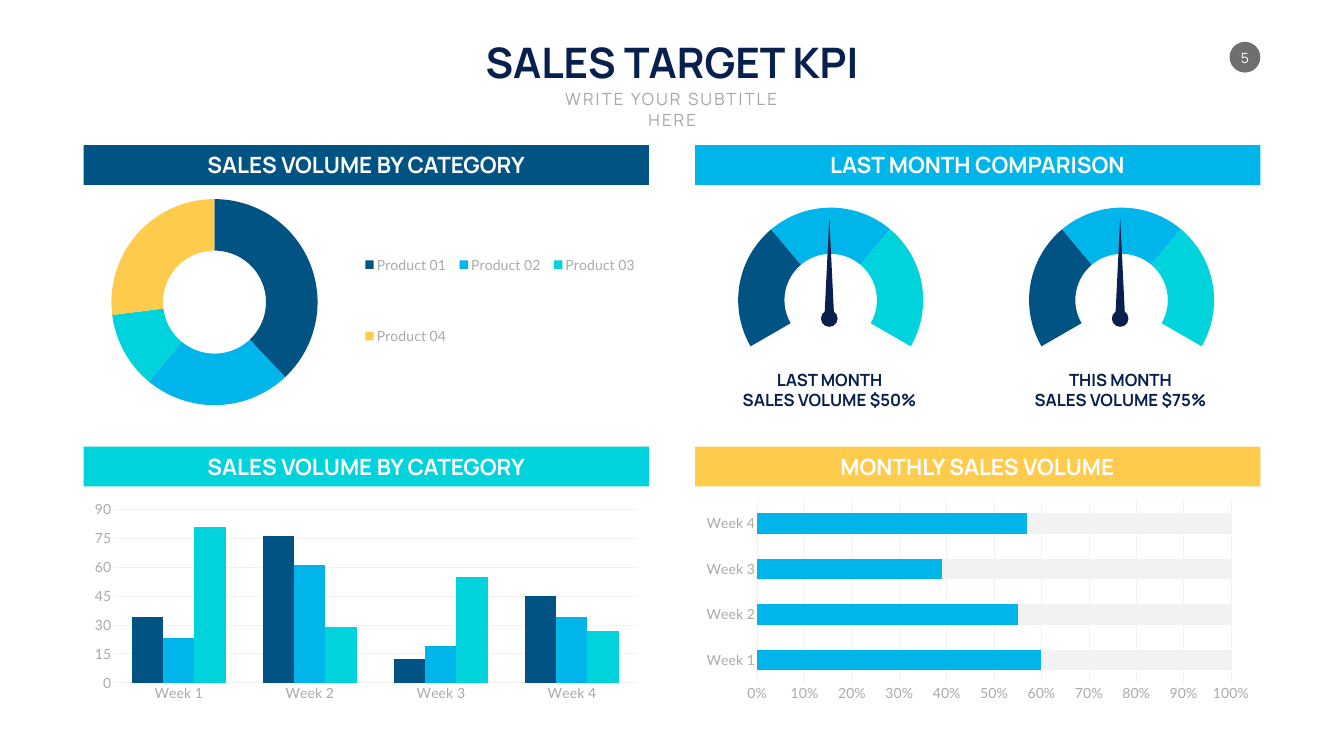
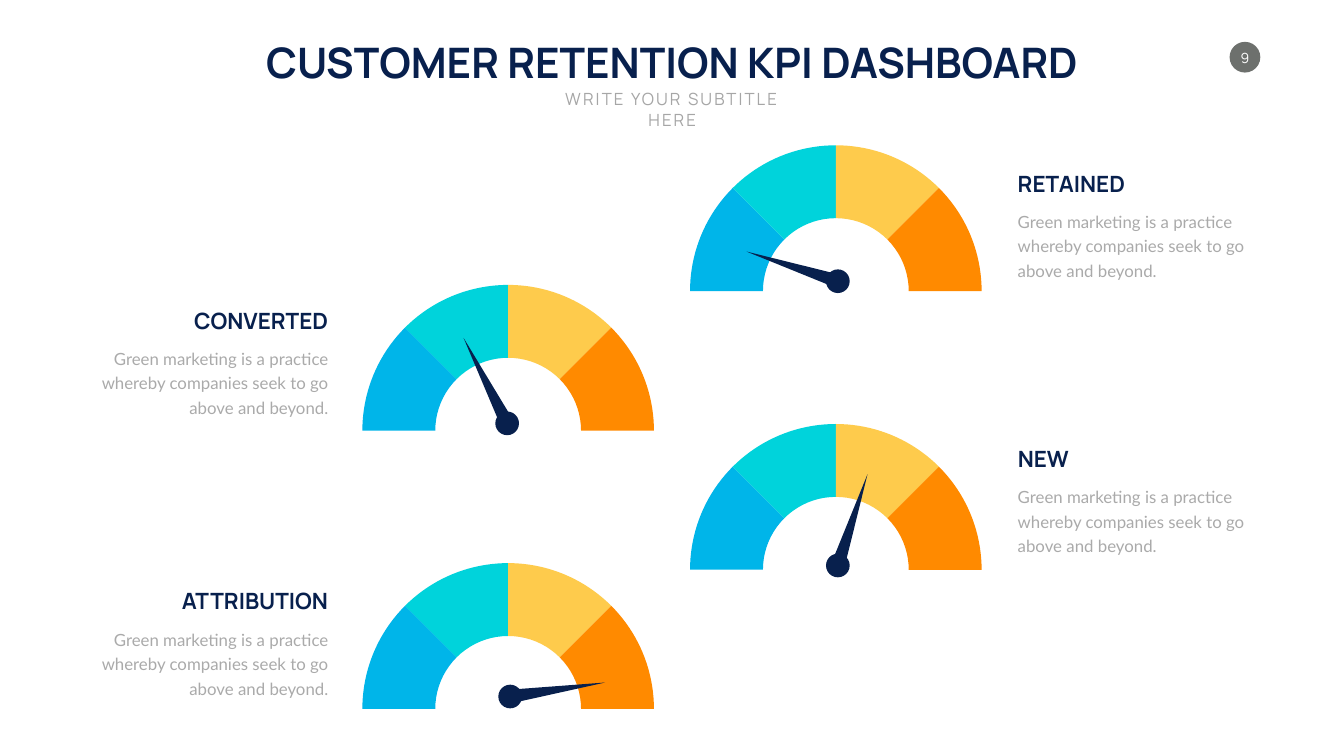
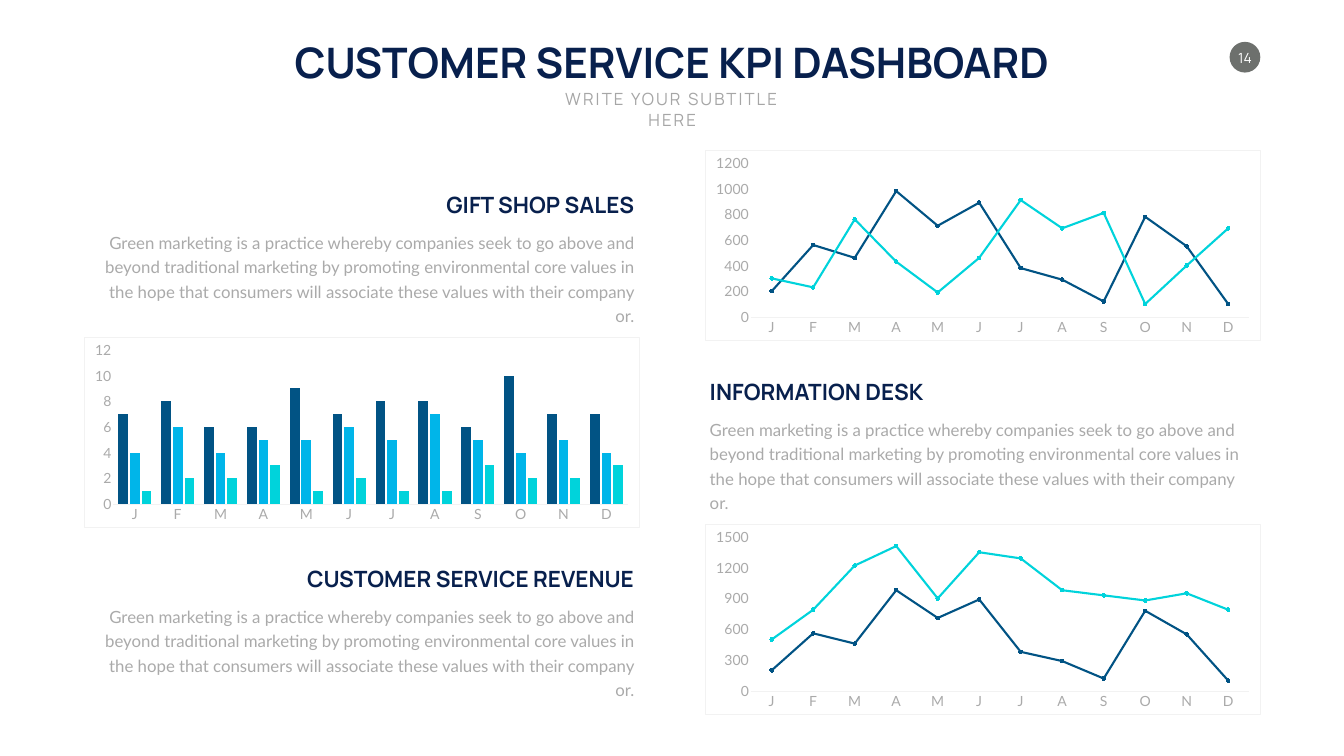
from math import cos, radians, sin

from pptx import Presentation
from pptx.chart.data import CategoryChartData
from pptx.dml.color import RGBColor
from pptx.enum.chart import XL_CHART_TYPE as CHART
from pptx.enum.chart import XL_LEGEND_POSITION, XL_MARKER_STYLE, XL_TICK_MARK
from pptx.enum.shapes import MSO_SHAPE as SHAPE
from pptx.enum.text import MSO_ANCHOR as ANCHOR
from pptx.enum.text import MSO_AUTO_SIZE as AUTO_SIZE
from pptx.enum.text import PP_ALIGN as ALIGN
from pptx.oxml import parse_xml
from pptx.oxml.ns import nsdecls, qn
from pptx.util import Pt

PX = 9144  # EMU in one px, at 100 px to the inch
SLIDE_WIDTH, SLIDE_HEIGHT = 2666, 1500

NAVY = RGBColor(0x08, 0x20, 0x4D)
BLUE = RGBColor(0x01, 0x53, 0x84)
SKY = RGBColor(0x00, 0xB5, 0xE9)
TURQUOISE = RGBColor(0x00, 0xD3, 0xDB)
YELLOW = RGBColor(0xFE, 0xCB, 0x4C)
ORANGE = RGBColor(0xFF, 0x8A, 0x00)
BADGE_GRAY = RGBColor(0x6D, 0x70, 0x6D)
SUBTITLE_GRAY = RGBColor(0xA6, 0xA6, 0xA6)
BODY_GRAY = RGBColor(0xAA, 0xAA, 0xAA)
PALE = RGBColor(0xF2, 0xF2, 0xF2)
WHITE = RGBColor(0xFF, 0xFF, 0xFF)
HEADING_FONT, BODY_FONT = "Manrope", "Lato"


def add_text(slide, box, lines, size, color, align=ALIGN.CENTER, bold=True,
             font=HEADING_FONT, anchor=ANCHOR.TOP, wrap=False):
    """Add a text box with one paragraph per line and return its frame."""
    frame = slide.shapes.add_textbox(*(n * PX for n in box)).text_frame
    frame.word_wrap = wrap
    frame.auto_size = AUTO_SIZE.SHAPE_TO_FIT_TEXT
    frame.vertical_anchor = anchor
    frame.text = "\n".join(lines)
    for paragraph in frame.paragraphs:
        paragraph.alignment = align
        paragraph.font.size = Pt(size)
        paragraph.font.name = font
        paragraph.font.bold = bold
        paragraph.font.color.rgb = color
    return frame


def add_filled(slide, kind, box, fill, rotation=0):
    shape = slide.shapes.add_shape(kind, *(round(n * PX) for n in box))
    shape.shadow.inherit = False
    shape.fill.solid()
    shape.fill.fore_color.rgb = fill
    shape.line.fill.background()
    shape.rotation = rotation


prs = Presentation()
prs.slide_width, prs.slide_height = SLIDE_WIDTH * PX, SLIDE_HEIGHT * PX

# Title, subtitle and page badge
headers = [
    ("SALES TARGET KPI", 770, "5"),
    ("CUSTOMER RETENTION KPI DASHBOARD", 1678, "9"),
    ("CUSTOMER SERVICE KPI DASHBOARD", 1563, "14"),
]
for title, width, page in headers:
    slide = prs.slides.add_slide(prs.slide_layouts[6])
    add_filled(slide, SHAPE.OVAL, (2439, 83, 61, 61), BADGE_GRAY)
    number = add_text(slide, (2449, 97, 41, 34), [page], 20, WHITE,
                      bold=False, anchor=ANCHOR.MIDDLE)
    number.margin_left = number.margin_right = 0
    number.margin_top = number.margin_bottom = 0
    add_text(slide, ((SLIDE_WIDTH - width) // 2, 67, width, 111), [title], 60, NAVY)
    subtitle = add_text(slide, (1062, 172, 543, 50), ["WRITE YOUR SUBTITLE HERE"],
                        24, SUBTITLE_GRAY, bold=False)
    subtitle.paragraphs[0].runs[0]._r.get_or_add_rPr().set("spc", "300")
sales, retention, service = prs.slides

# Charts: slide, type, box, categories, values per series, colours, options
weeks = [f"Week {n}" for n in range(1, 5)]
months = list("JFMAMJJASOND")
visits = [
    [200, 560, 460, 980, 710, 890, 380, 290, 120, 780, 550, 100],
    [300, 230, 760, 430, 190, 460, 910, 690, 810, 100, 400, 690],
]
charts = [
    (sales, CHART.DOUGHNUT, (166, 388, 1121, 416),
     [f"Product 0{n}" for n in range(1, 5)], [[38, 23, 12, 27]],
     [BLUE, SKY, TURQUOISE, YELLOW],
     {"plot": (0.044, 0.017, 0.375, 0.983), "legend": (0.483, 0.03, 0.508, 0.94)}),
    (sales, CHART.BAR_STACKED_100, (1379, 985, 1121, 416), weeks,
     [[60, 55, 39, 57], [40, 45, 61, 43]], [SKY, PALE],
     {"grid": True, "gap": 122, "overlap": 100, "format": "0%"}),
    (sales, CHART.COLUMN_CLUSTERED, (166, 985, 1121, 416), weeks,
     [[34, 76, 12, 45], [23, 61, 19, 34], [81, 29, 55, 27]], [BLUE, SKY, TURQUOISE],
     {"grid": True, "gap": 122, "major": 15}),
    (service, CHART.COLUMN_CLUSTERED, (166, 669, 1102, 377), months,
     [[7, 8, 6, 6, 9, 7, 8, 8, 6, 10, 7, 7],
      [4, 6, 4, 5, 5, 6, 5, 7, 5, 4, 5, 4],
      [1, 2, 2, 3, 1, 2, 1, 1, 3, 2, 2, 3]], [BLUE, SKY, TURQUOISE],
     {"border": True, "gap": 100, "overlap": -20}),
    (service, CHART.LINE_MARKERS, (1398, 298, 1102, 377), months, visits,
     [BLUE, TURQUOISE], {"border": True}),
    (service, CHART.LINE_MARKERS_STACKED, (1398, 1040, 1102, 377), months, visits,
     [BLUE, TURQUOISE], {"border": True, "major": 300}),
]

# Gauges: slide, dial left and top, needle angle, hub centre
sales_gauges = [(sales, left, 412, 0, left + 223, 632) for left in (1422, 1999)]
retention_gauges = [
    (retention, 705, 542, 333, 1006, 840),
    (retention, 705, 1094, 81.6, 1012, 1382),
    (retention, 1355, 265, 288, 1662, 558),
    (retention, 1355, 818, 18, 1662, 1122),
]
charts += [
    (slide, CHART.DOUGHNUT, (left, top, 458, 367), list("1234"), [[22, 22, 22, 33]],
     [BLUE, SKY, TURQUOISE, None], {"start": 240, "plot": (0.091, 0, 0.804, 1)})
    for slide, left, top, *_ in sales_gauges
]
charts += [
    (slide, CHART.DOUGHNUT, (left, top, 606, 625), list("12345678"), [[12] * 8],
     [SKY, TURQUOISE, YELLOW, ORANGE] + [None] * 4, {"start": 270})
    for slide, left, top, *_ in retention_gauges
]

for slide, kind, box, categories, rows, colors, options in charts:
    data = CategoryChartData()
    data.categories = categories
    for index, values in enumerate(rows, 1):
        data.add_series(f"Series {index}", values)
    chart = slide.shapes.add_chart(kind, *(n * PX for n in box), data).chart
    chart.has_title = False
    chart.font.size = Pt(20)
    chart.font.name = BODY_FONT
    chart.font.color.rgb = BODY_GRAY
    plot = chart.plots[0]
    plot.vary_by_categories = kind == CHART.DOUGHNUT
    chart.has_legend = "legend" in options

    border = "<a:noFill/>"
    if "border" in options:
        border = f'<a:solidFill><a:srgbClr val="{PALE}"/></a:solidFill>'
    space = chart._chartSpace
    space.find(qn("c:txPr")).addprevious(parse_xml(
        f'<c:spPr {nsdecls("c", "a")}><a:noFill/>'
        f'<a:ln w="9525">{border}</a:ln></c:spPr>'))

    layouts = []
    if "plot" in options:
        layouts.append((space.chart.plotArea, 0, '<c:layoutTarget val="inner"/>',
                        options["plot"]))
    if chart.has_legend:
        chart.legend.position = XL_LEGEND_POSITION.RIGHT
        chart.legend.include_in_layout = False
        chart.legend.font.size = Pt(20)
        chart.legend.font.name = BODY_FONT
        chart.legend.font.color.rgb = BODY_GRAY
        layouts.append((chart.legend._element, 1, "", options["legend"]))
    for parent, position, target, (x, y, w, h) in layouts:
        for automatic in parent.findall(qn("c:layout")):
            parent.remove(automatic)
        parent.insert(position, parse_xml(
            f'<c:layout {nsdecls("c")}><c:manualLayout>{target}'
            '<c:xMode val="edge"/><c:yMode val="edge"/>'
            f'<c:x val="{x}"/><c:y val="{y}"/><c:w val="{w}"/><c:h val="{h}"/>'
            '</c:manualLayout></c:layout>'))

    if kind == CHART.DOUGHNUT:
        ring = plot._element
        ring.find(qn("c:firstSliceAng")).set("val", str(options.get("start", 0)))
        ring.find(qn("c:holeSize")).set("val", "50")
        for index, color in enumerate(colors):
            sector = plot.series[0].points[index].format
            sector.line.fill.background()
            if color is None:
                sector.fill.background()
            else:
                sector.fill.solid()
                sector.fill.fore_color.rgb = color
        continue

    for series, color in zip(plot.series, colors):
        if "gap" in options:
            series.format.fill.solid()
            series.format.fill.fore_color.rgb = color
            continue
        series.smooth = False
        series.format.line.width = Pt(3)
        series.format.line.color.rgb = color
        series.marker.style = XL_MARKER_STYLE.CIRCLE
        series.marker.size = 5
        series.marker.format.fill.solid()
        series.marker.format.fill.fore_color.rgb = color
        series.marker.format.line.color.rgb = color
    if "gap" in options:
        plot.gap_width = options["gap"]
        plot.overlap = options.get("overlap", 0)

    for axis in (chart.category_axis, chart.value_axis):
        axis.major_tick_mark = axis.minor_tick_mark = XL_TICK_MARK.NONE
        axis.has_major_gridlines = False
        axis.tick_labels.font.size = Pt(20)
        axis.tick_labels.font.name = BODY_FONT
        axis.tick_labels.font.color.rgb = BODY_GRAY
    chart.category_axis.format.line.color.rgb = PALE
    chart.category_axis.format.line.width = Pt(0.75)
    scale = chart.value_axis
    scale.format.line.fill.background()
    if "grid" in options:
        scale.has_major_gridlines = True
        scale.major_gridlines.format.line.color.rgb = PALE
        scale.major_gridlines.format.line.width = Pt(0.75)
    if "major" in options:
        scale.major_unit = options["major"]
    if "format" in options:
        scale.tick_labels.number_format = options["format"]
        scale.tick_labels.number_format_is_linked = False

# Needles: width, length, distance of needle centre from hub, hub diameter
for gauges, (width, length, reach, hub) in (
    (sales_gauges, (19, 194, 102, 33)),
    (retention_gauges, (27, 189, 96, 47)),
):
    for slide, _, _, angle, hub_x, hub_y in gauges:
        x = hub_x + reach * sin(radians(angle))
        y = hub_y - reach * cos(radians(angle))
        add_filled(slide, SHAPE.ISOSCELES_TRIANGLE,
                   (x - width / 2, y - length / 2, width, length), NAVY, angle)
        add_filled(slide, SHAPE.OVAL, (hub_x - hub / 2, hub_y - hub / 2, hub, hub), NAVY)

for left, month, share in ((1432, "LAST MONTH", "50%"), (2009, "THIS MONTH", "75%")):
    add_text(sales, (left, 729, 427, 91), [month, f"SALES VOLUME ${share}"],
             24, NAVY, wrap=True)

# Section bands
bands = [
    (166, 288, BLUE, "SALES VOLUME BY CATEGORY", 675),
    (166, 886, TURQUOISE, "SALES VOLUME BY CATEGORY", 675),
    (1379, 288, SKY, "LAST MONTH COMPARISON", 628),
    (1379, 886, YELLOW, "MONTHLY SALES VOLUME", 580),
]
for left, top, color, label, width in bands:
    add_filled(sales, SHAPE.RECTANGLE, (left, top, 1121, 79), color)
    add_text(sales, (left + (1121 - width) // 2, top + 7, width, 64), [label],
             32, WHITE, anchor=ANCHOR.MIDDLE)

# Headings with a description below
short_text = "Green marketing is a practice whereby companies seek to go above and beyond."
long_text = (
    "Green marketing is a practice whereby companies seek to go above and beyond "
    "traditional marketing by promoting environmental core values in the hope that "
    "consumers will associate these values with their company or."
)
descriptions = [
    (retention, "RETAINED", 237, short_text, 2009, 331, 490, ALIGN.LEFT),
    (retention, "NEW", 125, short_text, 2009, 878, 490, ALIGN.LEFT),
    (retention, "CONVERTED", 293, short_text, 171, 603, 490, ALIGN.RIGHT),
    (retention, "ATTRIBUTION", 319, short_text, 171, 1160, 490, ALIGN.RIGHT),
    (service, "INFORMATION DESK", 465, long_text, 1398, 744, 1102, ALIGN.LEFT),
    (service, "GIFT SHOP SALES", 395, long_text, 166, 373, 1102, ALIGN.RIGHT),
    (service, "CUSTOMER SERVICE REVENUE", 674, long_text, 166, 1115, 1102, ALIGN.RIGHT),
]
for slide, heading, heading_width, body, left, top, width, align in descriptions:
    heading_left = left if align == ALIGN.LEFT else left + width - heading_width
    add_text(slide, (heading_left, top, heading_width, 64), [heading], 32, NAVY,
             align, anchor=ANCHOR.BOTTOM)
    description = add_text(slide, (left, top + 75, width, 152), [body], 24, BODY_GRAY,
                           align, bold=False, font=BODY_FONT, wrap=True)
    description.paragraphs[0].line_spacing = Pt(35)

prs.save("out.pptx")
